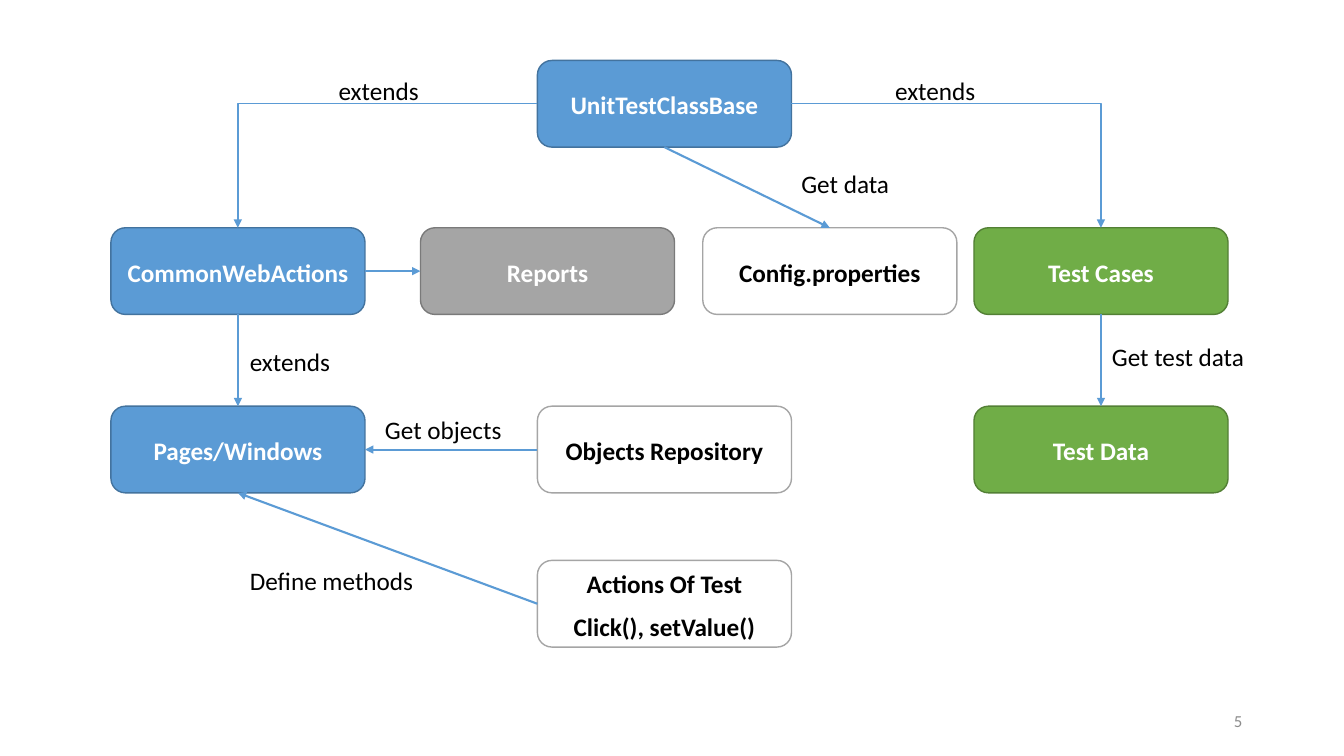
from lxml.etree import SubElement
from pptx import Presentation
from pptx.dml.color import RGBColor
from pptx.enum.shapes import MSO_CONNECTOR, MSO_SHAPE
from pptx.enum.text import MSO_ANCHOR, PP_ALIGN
from pptx.oxml.ns import qn
from pptx.util import Inches, Pt

COLORS = {
    "blue": "5B9BD5", "blue edge": "43739E",
    "green": "70AD47", "green edge": "538035",
    "gray": "A5A5A5", "gray edge": "7A7A7A",
    "white": "FFFFFF", "white edge": "A5A5A5",
    "black": "000000", "page number": "8C8C8C",
}
COLUMNS = {"left": 1.1, "reports": 4.17, "center": 5.33, "config": 6.97, "right": 9.66}
ROWS = {"base": 0.6, "classes": 2.26, "data": 4.03, "methods": 5.56}
BOX_WIDTH, BOX_HEIGHT = 2.52, 0.86
TOP, LEFT, BOTTOM, RIGHT = range(4)


def color(name):
    return RGBColor.from_string(COLORS[name])


def write(para, text, size, name, bold=False):
    span = para.add_run()
    span.text = text
    span.font.name = "Calibri"
    span.font.size = Pt(size)
    span.font.bold = bold
    span.font.color.rgb = color(name)


deck = Presentation()
deck.slide_width, deck.slide_height = Inches(13.33), Inches(7.5)
page = deck.slides.add_slide(deck.slide_layouts[6])

box_rows = [
    ("base", "center", "base", "blue", ["UnitTestClassBase"]),
    ("actions", "left", "classes", "blue", ["CommonWebActions"]),
    ("reports", "reports", "classes", "gray", ["Reports"]),
    ("config", "config", "classes", "white", ["Config.properties"]),
    ("cases", "right", "classes", "green", ["Test Cases"]),
    ("pages", "left", "data", "blue", ["Pages/Windows"]),
    ("repository", "center", "data", "white", ["Objects Repository"]),
    ("data", "right", "data", "green", ["Test Data"]),
    ("methods", "center", "methods", "white", ["Actions Of Test", "Click(), setValue()"]),
]
boxes = {}
for key, column, row, fill, lines in box_rows:
    box = page.shapes.add_shape(
        MSO_SHAPE.FLOWCHART_ALTERNATE_PROCESS,
        Inches(COLUMNS[column]), Inches(ROWS[row]), Inches(BOX_WIDTH), Inches(BOX_HEIGHT))
    box.shadow.inherit = False
    box.fill.solid()
    box.fill.fore_color.rgb = color(fill)
    box.line.color.rgb = color(fill + " edge")
    box.line.width = Pt(1)
    frame = box.text_frame
    frame.word_wrap = True
    frame.vertical_anchor = MSO_ANCHOR.MIDDLE
    for index, text in enumerate(lines):
        para = frame.add_paragraph() if index else frame.paragraphs[0]
        para.alignment = PP_ALIGN.CENTER
        para.line_spacing = 1.07
        para.space_after = Pt(8)
        write(para, text, 18, "black" if fill == "white" else "white", True)
    boxes[key] = box

links = [
    ("base", LEFT, "actions", TOP, True),
    ("base", RIGHT, "cases", TOP, True),
    ("base", BOTTOM, "config", TOP, False),
    ("actions", RIGHT, "reports", LEFT, False),
    ("actions", BOTTOM, "pages", TOP, False),
    ("cases", BOTTOM, "data", TOP, False),
    ("repository", LEFT, "pages", RIGHT, False),
    ("methods", LEFT, "pages", BOTTOM, False),
]
for source, source_side, target, target_side, bent in links:
    kind = MSO_CONNECTOR.ELBOW if bent else MSO_CONNECTOR.STRAIGHT
    arrow = page.shapes.add_connector(kind, 0, 0, 0, 0)
    arrow.begin_connect(boxes[source], source_side)
    arrow.end_connect(boxes[target], target_side)
    arrow.line.color.rgb = color("blue")
    arrow.line.width = Pt(1 if bent else 1.5)
    properties = arrow._element.spPr
    if bent:
        properties.find(qn("a:prstGeom")).set("prst", "bentConnector2")
    SubElement(properties.find(qn("a:ln")), qn("a:tailEnd"), type="triangle")
    SubElement(properties, qn("a:effectLst"))

labels = [
    ("extends", 3.26, 0.7, 1),
    ("extends", 8.78, 0.7, 1),
    ("Get data", 7.85, 1.62, 1.64),
    ("extends", 2.38, 3.39, 1),
    ("Get test data", 10.93, 3.34, 1.64),
    ("Get objects", 3.72, 4.06, 1.6),
    ("Define methods", 2.38, 5.56, 2.49),
]
for text, left, top, width in labels:
    label = page.shapes.add_textbox(Inches(left), Inches(top), Inches(width), Inches(0.4))
    label.text_frame.word_wrap = True
    write(label.text_frame.paragraphs[0], text, 18, "black")

number = page.shapes.add_textbox(Inches(9.42), Inches(6.95), Inches(3), Inches(0.4))
number.text_frame.word_wrap = True
number.text_frame.vertical_anchor = MSO_ANCHOR.MIDDLE
number.text_frame.paragraphs[0].alignment = PP_ALIGN.RIGHT
write(number.text_frame.paragraphs[0], "5", 12, "page number")

deck.save("out.pptx")
